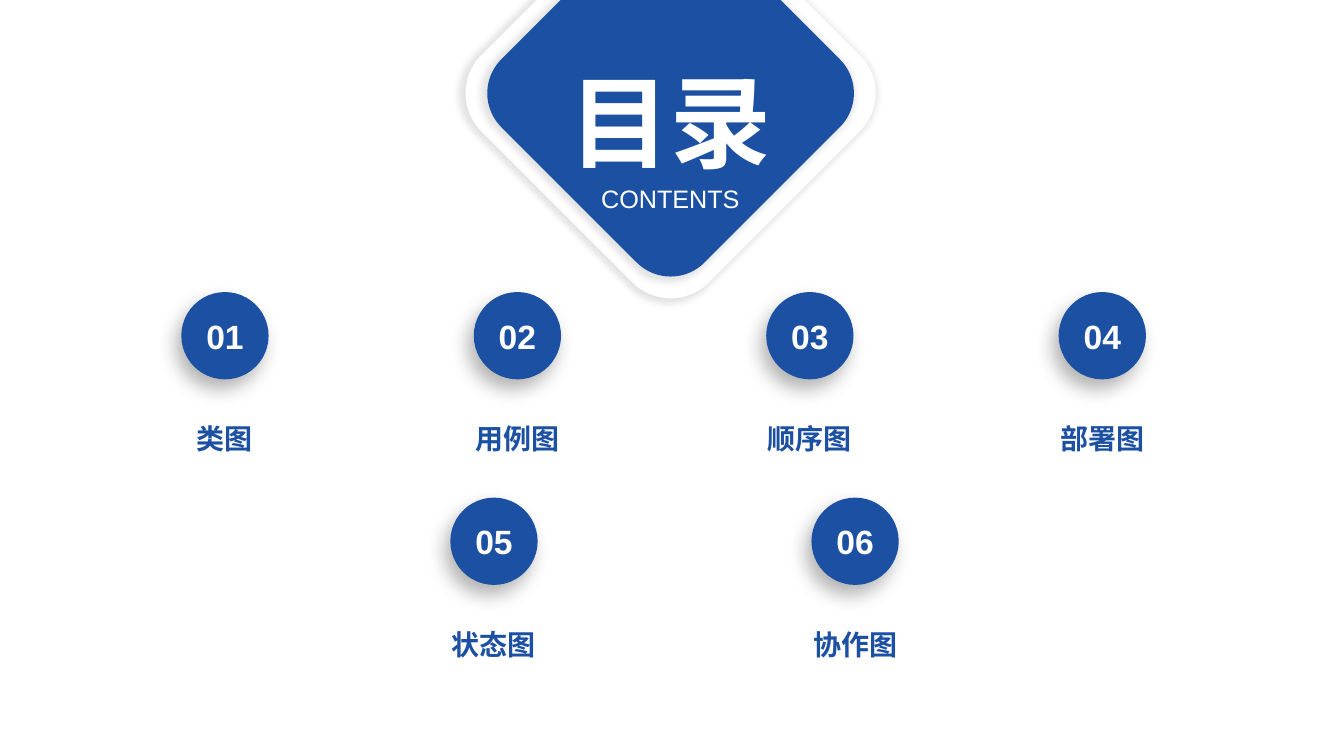
import pptx
import pptx.util
import pptx.dml.color
import pptx.enum.shapes
import pptx.enum.text
from dataclasses import dataclass
from lxml import etree

Cm, Pt = pptx.util.Cm, pptx.util.Pt
RGB = pptx.dml.color.RGBColor
MSO = pptx.enum.shapes.MSO_SHAPE
MIDDLE = pptx.enum.text.MSO_ANCHOR.MIDDLE
CENTER = pptx.enum.text.PP_ALIGN.CENTER
A = "http://schemas.openxmlformats.org/drawingml/2006/main"


@dataclass
class Theme:
    blue: RGB = RGB(0x1C, 0x50, 0xA2)
    white: RGB = RGB(0xFF, 0xFF, 0xFF)
    latin: str = "Arial"
    heading: str = "Calibri"
    title: int = 72
    number: int = 24
    label: int = 20
    subtitle: int = 18


theme = Theme()

prs = pptx.Presentation()
prs.slide_width, prs.slide_height = Cm(33.87), Cm(19.05)
s = prs.slides.add_slide(prs.slide_layouts[6])


def add_badge(kind, cx, cy, size, color, alpha, blur, dist, angle, scale=100):
    """Filled square-sided shape centred on cx, cy with a soft outer shadow."""
    sp = s.shapes.add_shape(kind, Cm(cx - size / 2), Cm(cy - size / 2), Cm(size), Cm(size))
    sp.fill.solid()
    sp.fill.fore_color.rgb = color
    sp.line.fill.background()
    sp.shadow.inherit = False
    effects = sp.element.spPr.find(f"{{{A}}}effectLst")
    shadow = etree.SubElement(
        effects, f"{{{A}}}outerShdw", blurRad=str(Pt(blur)), dist=str(Pt(dist)),
        dir=str(angle * 60000), sx=str(scale * 1000), sy=str(scale * 1000),
        algn="ctr", rotWithShape="0")
    black = etree.SubElement(shadow, f"{{{A}}}srgbClr", val="000000")
    etree.SubElement(black, f"{{{A}}}alpha", val=str(alpha * 1000))
    return sp


def write(sp, text, font, size, color, bold=True, inset=(0.25, 0.13)):
    """Single centred line of text."""
    tf = sp.text_frame
    tf.word_wrap = True
    tf.margin_left = tf.margin_right = Cm(inset[0])
    tf.margin_top = tf.margin_bottom = Cm(inset[1])
    p = tf.paragraphs[0]
    p.text = text
    p.alignment = CENTER
    p.font.name, p.font.size, p.font.bold = font, Pt(size), bold
    p.font.color.rgb = color


# Heading diamond: white rim under a blue face
for size, color in ((8.1, theme.white), (7.24, theme.blue)):
    sp = add_badge(MSO.ROUNDED_RECTANGLE, 16.9, 2.35, size, color, 11, 5, 0, 0, scale=102)
    sp.rotation = 45

# Heading text
for text, top, height, font, size, bold in (
        ("目录", 1.37, 3.33, theme.heading, theme.title, True),
        ("CONTENTS", 4.5, 1.02, theme.latin, theme.subtitle, False)):
    tb = s.shapes.add_textbox(Cm(12.07), Cm(top), Cm(9.65), Cm(height))
    write(tb, text, font, size, theme.white, bold)

# Numbered chapters: circle centre of the first item, step, circle centre height, labels
rows = (
    (5.67, 7.37, 8.46, ("类图", "用例图", "顺序图", "部署图")),
    (12.45, 9.1, 13.64, ("状态图", "协作图")),
)
label_w, label_h = 5.84, 1.04
number = 0
for first, step, cy, labels in rows:
    for i, label in enumerate(labels):
        number += 1
        cx = first + i * step
        sp = add_badge(MSO.OVAL, cx, cy, 2.2, theme.blue, 30, 14, 8, 120)
        sp.text_frame.vertical_anchor = MIDDLE
        write(sp, f"{number:02d}", theme.latin, theme.number, theme.white, inset=(0, 0.13))

        tb = s.shapes.add_textbox(Cm(cx - label_w / 2), Cm(cy + 2.07), Cm(label_w), Cm(label_h))
        write(tb, label, theme.heading, theme.label, theme.blue, inset=(0.18, 0.1))

prs.save("out.pptx")
